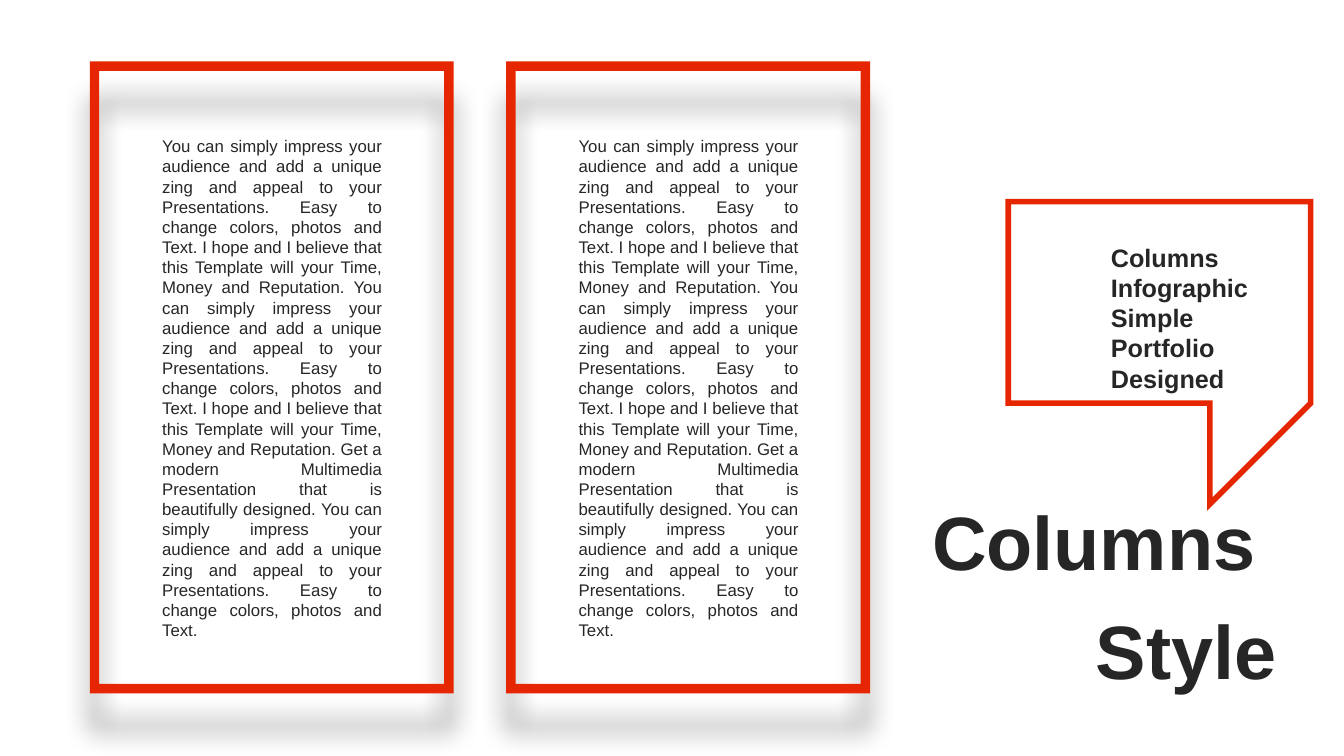
import pptx
import pptx.dml.color
import pptx.enum.shapes
import pptx.enum.text
import pptx.oxml
import pptx.oxml.ns
import pptx.util
from math import cos, radians, sin

Inches = pptx.util.Inches
Pt = pptx.util.Pt
Align = pptx.enum.text.PP_ALIGN
Anchor = pptx.enum.text.MSO_ANCHOR

RED = pptx.dml.color.RGBColor(0xE6, 0x26, 0x01)
INK = pptx.dml.color.RGBColor(0x26, 0x26, 0x26)

FRAME_LEFT, FRAME_TOP = 0.89, 0.61
COLUMN_PITCH = 4.13
BODY_INSET = 0.62

PITCH = (
    "You can simply impress your audience and add a unique zing and appeal to your "
    "Presentations. Easy to change colors, photos and Text. "
)
HOPE = "I hope and I believe that this Template will your Time, Money and Reputation. "
MODERN = "Get a modern Multimedia Presentation that is beautifully designed. "
BODY = ((PITCH + HOPE) * 2 + MODERN + PITCH).strip()


def add_soft_shadow(shape):
    """Cast a blurred black shadow straight down."""
    shape.shadow.inherit = False
    effects = shape._element.spPr.find(pptx.oxml.ns.qn("a:effectLst"))
    effects.append(pptx.oxml.parse_xml(
        f'<a:outerShdw {pptx.oxml.ns.nsdecls("a")} blurRad="{Pt(19)}" dist="{Pt(27)}" '
        'dir="5400000" algn="t" rotWithShape="0">'
        '<a:srgbClr val="000000"><a:alpha val="40000"/></a:srgbClr></a:outerShdw>'
    ))


def add_frame(slide, left, top):
    frame = slide.shapes.add_shape(
        pptx.enum.shapes.MSO_SHAPE.FRAME,
        Inches(left), Inches(top), Inches(3.61), Inches(6.27),
    )
    frame.adjustments[0] = 0.026
    frame.fill.solid()
    frame.fill.fore_color.rgb = RED
    frame.line.fill.background()
    add_soft_shadow(frame)


def add_text(slide, left, top, width, height, paragraphs, size,
             bold=False, align=Align.LEFT, gap=0):
    """Add one wrapped box; gap is the space in points between paragraphs."""
    box = slide.shapes.add_textbox(
        Inches(left), Inches(top), Inches(width), Inches(height))
    frame = box.text_frame
    frame.word_wrap = True
    for index, wording in enumerate(paragraphs):
        paragraph = frame.add_paragraph() if index else frame.paragraphs[0]
        paragraph.alignment = align
        if index:
            paragraph.space_before = Pt(gap)
        run = paragraph.add_run()
        run.text = wording
        run.font.name = "Arial"
        run.font.size = Pt(size)
        run.font.bold = bold
        run.font.color.rgb = INK
    return frame


def corner(center_x, center_y, radius, start):
    """Points of a quarter circle, clockwise on the slide from the start angle."""
    angles = [radians(start + step) for step in range(0, 91, 10)]
    return [(center_x + radius * cos(a), center_y + radius * sin(a)) for a in angles]


def add_callout(slide):
    left, top, right, bottom, radius = 10.48, 2.09, 12.76, 4.33, 0.11
    tail = [(12.63, bottom), (12.24, 4.77), (12.21, bottom)]
    outline = (
        corner(left + radius, top + radius, radius, 180)
        + corner(right - radius, top + radius, radius, 270)
        + corner(right - radius, bottom - radius, radius, 0)
        + tail
        + corner(left + radius, bottom - radius, radius, 90)
    )
    builder = slide.shapes.build_freeform(*outline[0], scale=Inches(1))
    builder.add_line_segments(outline[1:], close=True)
    callout = builder.convert_to_shape()
    callout.shadow.inherit = False
    callout.fill.background()
    callout.line.color.rgb = RED
    callout.line.width = Pt(4)
    callout.line._get_or_add_ln().append(pptx.oxml.parse_xml(
        f'<a:miter {pptx.oxml.ns.nsdecls("a")} lim="800000"/>'))


def main():
    deck = pptx.Presentation()
    deck.slide_width, deck.slide_height = Inches(13.33), Inches(7.5)
    slide = deck.slides.add_slide(deck.slide_layouts[6])

    column_lefts = [FRAME_LEFT + COLUMN_PITCH * column for column in range(2)]
    for left in column_lefts:
        add_frame(slide, left, FRAME_TOP)

    title = add_text(slide, 8.39, 4.78, 4.37, 2.1, ["Columns ", "Style"], 54,
                     bold=True, align=Align.RIGHT, gap=13)
    title.vertical_anchor = Anchor.MIDDLE
    title.margin_top = Inches(0.2)

    for left in column_lefts:
        body = add_text(slide, left + BODY_INSET, 1.3, 2.38, 5.15, [BODY], 12,
                        align=Align.JUSTIFY)
        body.auto_size = pptx.enum.text.MSO_AUTO_SIZE.SHAPE_TO_FIT_TEXT

    add_callout(slide)
    label = add_text(slide, 10.92, 2.35, 1.81, 1.62,
                     ["Columns Infographic Simple Portfolio Designed"], 18, bold=True)
    label.auto_size = pptx.enum.text.MSO_AUTO_SIZE.SHAPE_TO_FIT_TEXT

    deck.save("out.pptx")


if __name__ == "__main__":
    main()
